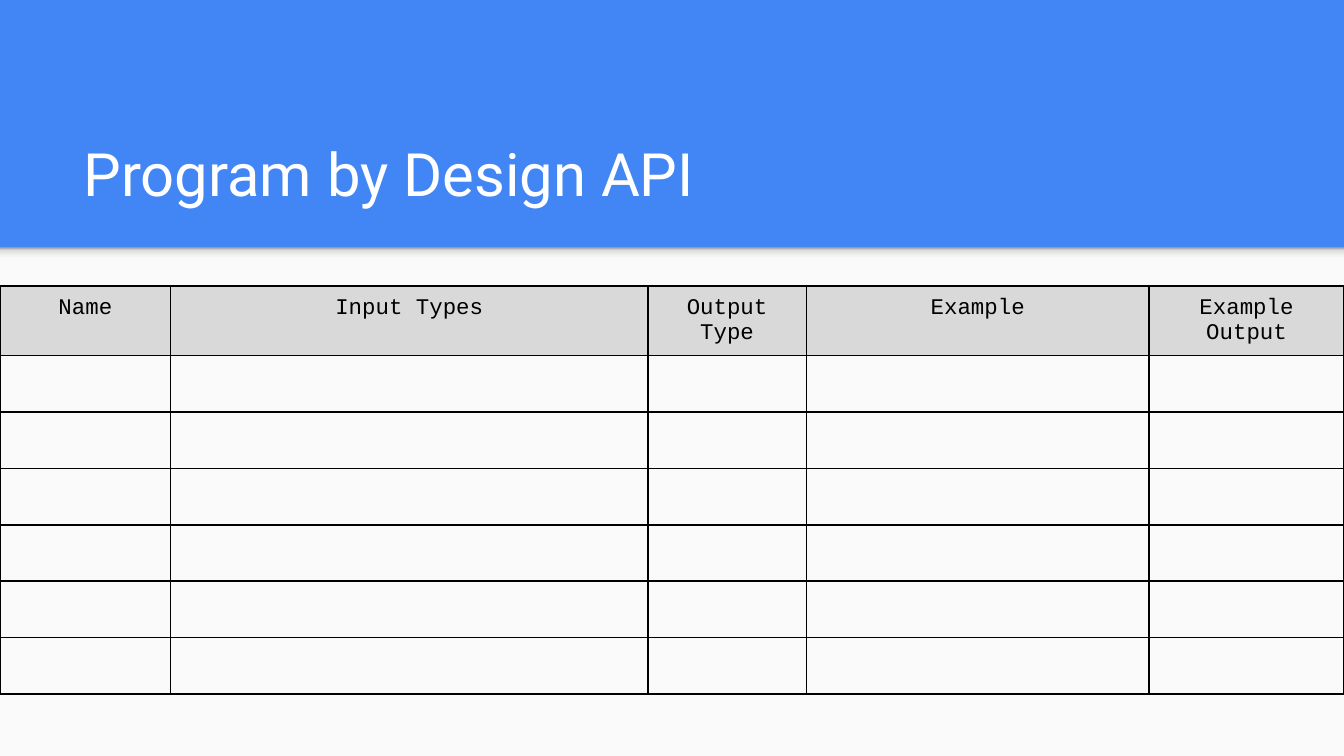
from dataclasses import dataclass

from lxml import etree
from pptx import Presentation
from pptx.dml.color import RGBColor
from pptx.enum.shapes import MSO_SHAPE
from pptx.enum.text import MSO_ANCHOR, MSO_AUTO_SIZE, PP_ALIGN
from pptx.oxml.ns import qn
from pptx.util import Inches, Pt

RECTANGLE = MSO_SHAPE.RECTANGLE
BOTTOM = MSO_ANCHOR.BOTTOM
NO_AUTOFIT = MSO_AUTO_SIZE.NONE
LEFT, CENTER = PP_ALIGN.LEFT, PP_ALIGN.CENTER

BLUE = RGBColor(0x42, 0x85, 0xF4)
PAPER = RGBColor(0xFA, 0xFA, 0xFA)
WHITE = RGBColor(0xFF, 0xFF, 0xFF)
BLACK = RGBColor(0x00, 0x00, 0x00)
HEADER_GRAY = RGBColor(0xD9, 0xD9, 0xD9)
SHADE_LIGHT = RGBColor(0xF9, 0xF9, 0xF9)
SHADE_MID = RGBColor(0xDE, 0xDE, 0xDE)
SHADE_DARK = RGBColor(0x99, 0x99, 0x99)
SHADE_STOPS = ((0, SHADE_LIGHT), (36, SHADE_LIGHT), (80, SHADE_MID), (100, SHADE_DARK))

SLIDE_W, SLIDE_H = 10, 5.625
BANNER_H = 1.84
SHADE_H = 0.12
TABLE_TOP = 2.13
HEADER_H, ROW_H = 0.51, 0.42
BODY_ROWS = 6
CELL_INSET = Inches(0.07)
BORDER_SIDES = ("a:lnL", "a:lnR", "a:lnT", "a:lnB")


@dataclass(frozen=True)
class Column:
    heading: str
    width: float


COLUMNS = (
    Column("Name", 1.27),
    Column("Input Types", 3.55),
    Column("Output Type", 1.18),
    Column("Example", 2.55),
    Column("Example Output", 1.45),
)


def add_solid(parent, color: RGBColor) -> None:
    fill = etree.SubElement(parent, qn("a:solidFill"))
    etree.SubElement(fill, qn("a:srgbClr"), val=str(color))


def add_band(s, top: float, height: float):
    band = s.shapes.add_shape(RECTANGLE, 0, Inches(top), Inches(SLIDE_W), Inches(height))
    band.shadow.inherit = False
    band.line.fill.background()
    return band


def add_backdrop(s) -> None:
    s.background.fill.solid()
    s.background.fill.fore_color.rgb = BLUE
    panel = add_band(s, BANNER_H, SLIDE_H - BANNER_H)
    panel.fill.solid()
    panel.fill.fore_color.rgb = PAPER

    shade = add_band(s, BANNER_H, SHADE_H)
    shade.fill.gradient()
    shade.fill.gradient_angle = 90
    stops = shade.element.spPr.find(".//" + qn("a:gsLst"))
    for stop in list(stops):
        stops.remove(stop)
    for percent, color in SHADE_STOPS:
        stop = etree.SubElement(stops, qn("a:gs"), pos=str(percent * 1000))
        etree.SubElement(stop, qn("a:srgbClr"), val=str(color))


def format_title(title, text: str) -> None:
    title.left, title.top = Inches(0.52), Inches(0.81)
    title.width, title.height = Inches(8.99), Inches(0.84)
    tf = title.text_frame
    tf.text = text
    tf.word_wrap = True
    tf.auto_size = NO_AUTOFIT
    tf.vertical_anchor = BOTTOM
    tf.margin_left = tf.margin_right = tf.margin_top = tf.margin_bottom = Inches(0.1)
    p = tf.paragraphs[0]
    p.alignment = LEFT
    r = p.runs[0]
    r.font.name, r.font.size = "Roboto", Pt(32)
    r.font.color.rgb = WHITE


def format_cell(cell) -> None:
    tc_pr = cell._tc.get_or_add_tcPr()
    for side in BORDER_SIDES:
        border = etree.SubElement(tc_pr, qn(side), w=str(Pt(1)))
        add_solid(border, BLACK)
    cell.fill.background()


def format_heading(cell, text: str) -> None:
    cell.fill.solid()
    cell.fill.fore_color.rgb = HEADER_GRAY
    cell.margin_left = cell.margin_right = CELL_INSET
    cell.margin_top = cell.margin_bottom = CELL_INSET
    cell.text_frame.text = text
    p = cell.text_frame.paragraphs[0]
    p.alignment = CENTER
    r = p.runs[0]
    r.font.name, r.font.size, r.font.bold = "Courier New", Pt(12), False
    r.font.color.rgb = BLACK


def add_api_table(s) -> None:
    table = s.shapes.add_table(
        BODY_ROWS + 1, len(COLUMNS), 0, Inches(TABLE_TOP),
        Inches(SLIDE_W), Inches(HEADER_H + BODY_ROWS * ROW_H),
    ).table
    table.first_row = table.horz_banding = False
    for i, row in enumerate(table.rows):
        row.height = Inches(ROW_H if i else HEADER_H)
    for cell in table.iter_cells():
        format_cell(cell)
    for i, column in enumerate(COLUMNS):
        table.columns[i].width = Inches(column.width)
        format_heading(table.cell(0, i), column.heading)


def main() -> None:
    prs = Presentation()
    prs.slide_width, prs.slide_height = Inches(SLIDE_W), Inches(SLIDE_H)
    s = prs.slides.add_slide(prs.slide_layouts[5])
    add_backdrop(s)
    format_title(s.shapes.title, "Program by Design API")
    add_api_table(s)
    prs.save("out.pptx")


if __name__ == "__main__":
    main()
